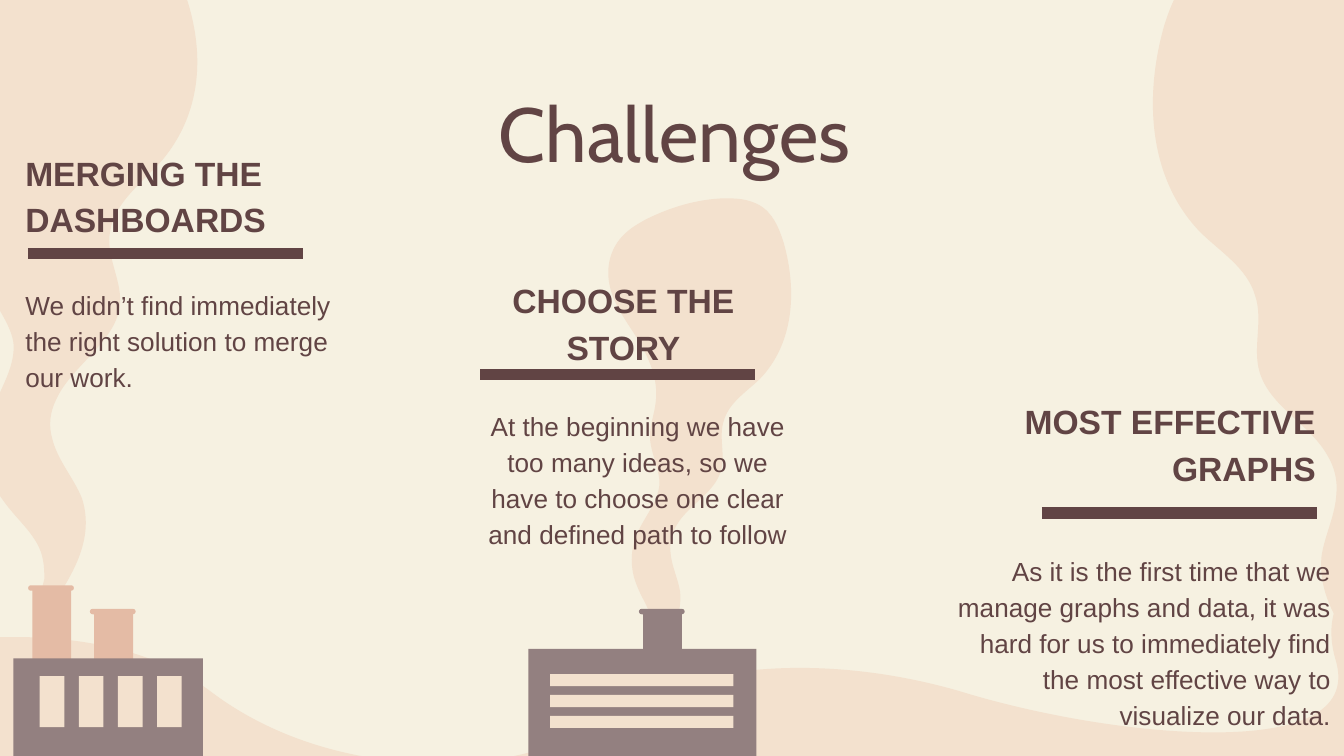
from dataclasses import dataclass

from lxml.etree import SubElement
from pptx import Presentation
from pptx.dml.color import RGBColor
from pptx.enum.shapes import MSO_CONNECTOR as Connector, MSO_SHAPE as Shape
from pptx.enum.text import PP_ALIGN as Align
from pptx.oxml.ns import qn
from pptx.util import Pt

CREAM, SMOKE, CLAY, STONE, BROWN = "F6F1E1", "F3E1CE", "E4BBA5", "938080", "614444"
OUTLINE_UNIT = Pt(0.72)
INSET = 7.2

# Each outline is a start point, then curves (six numbers) or lines (two numbers).
GROUND_SIZE = (1451, 247)
GROUND = [
    (1227, 0),
    (1139, 0, 1077, 32, 1096, 94), (1107, 133, 1065, 147, 1005, 147),
    (947, 147, 873, 134, 815, 116), (773, 104, 733, 99, 697, 99),
    (630, 99, 575, 117, 541, 142), (518, 159, 476, 170, 429, 170),
    (373, 170, 309, 155, 258, 116), (216, 85, 161, 76, 112, 76),
    (51, 76, 0, 90, 0, 90), (0, 247), (1451, 247), (1451, 51),
    (1451, 51, 1401, 20, 1285, 4), (1265, 2, 1245, 0, 1227, 0),
]
PLUME_SIZE = (269, 527)
PLUME = [
    (168, 0),
    (176, 0, 184, 1, 191, 3), (212, 9, 224, 26, 233, 41),
    (261, 91, 269, 151, 231, 197), (216, 214, 195, 229, 192, 250),
    (188, 269, 202, 288, 199, 307), (195, 333, 163, 351, 152, 375),
    (147, 385, 146, 395, 149, 405), (153, 421, 165, 434, 171, 449),
    (179, 474, 169, 497, 155, 519), (153, 522, 151, 524, 148, 526),
    (147, 527, 146, 527, 145, 527), (143, 527, 141, 525, 141, 523),
    (140, 518, 142, 514, 143, 509), (143, 505, 143, 500, 142, 495),
    (139, 477, 123, 466, 112, 450), (99, 433, 95, 411, 101, 392),
    (107, 372, 122, 353, 120, 333), (117, 315, 101, 300, 97, 282),
    (94, 269, 98, 255, 97, 242), (96, 216, 78, 193, 57, 173),
    (40, 157, 20, 141, 11, 122), (0, 101, 3, 77, 19, 60),
    (26, 52, 35, 46, 44, 40), (74, 22, 108, 8, 145, 2),
    (153, 1, 161, 0, 168, 0),
]


@dataclass
class Challenge:
    heading: str
    body: str
    align: Align
    heading_box: tuple
    heading_insets: tuple
    rule_start: tuple
    body_box: tuple


CHALLENGES = [
    Challenge("MERGING THE DASHBOARDS",
              "We didn’t find immediately the right solution to merge our work.",
              Align.LEFT, (6.5, 71.3, 201.6, 38.9), (INSET, 0),
              (15, 135.9), (6.5, 145.4, 186.5, 78.5)),
    Challenge("CHOOSE THE STORY",
              "At the beginning we have too many ideas, so we have to choose "
              "one clear and defined path to follow",
              Align.CENTER, (244.1, 139.7, 172.8, 38.9), (INSET, 0),
              (257.2, 200.5), (248.4, 210.2, 186.5, 78.5)),
    Challenge("MOST EFFECTIVE GRAPHS",
              "As it is the first time that we manage graphs and data, it was "
              "hard for us to immediately find the most effective way to "
              "visualize our data.",
              Align.RIGHT, (519.8, 204.5, 192.2, 38.9), (0, INSET),
              (558.2, 274.9), (502.6, 288, 217.4, 119.5)),
]


def color(value):
    return RGBColor.from_string(value)


def paint(shape, fill):
    shape.shadow.inherit = False
    shape.fill.solid()
    shape.fill.fore_color.rgb = color(fill)
    shape.line.fill.background()


def add_block(slide, box, fill, kind=Shape.RECTANGLE):
    shape = slide.shapes.add_shape(kind, *map(Pt, box))
    paint(shape, fill)
    return shape


def add_outline(slide, outline, size, box, rotation=0, mirrored=False):
    """Draw a curved outline, drawn on a grid of the given size, scaled into the box."""
    left, top, width, height = map(Pt, box)
    grid_width, grid_height = size
    builder = slide.shapes.build_freeform(0, 0, scale=OUTLINE_UNIT)
    builder.add_line_segments([(grid_width, 0), size, (0, grid_height)])
    shape = builder.convert_to_shape(left, top)
    shape.width, shape.height, shape.rotation = width, height, rotation
    if mirrored:
        shape.element.spPr.find(qn("a:xfrm")).set("flipH", "1")
    route = shape.element.spPr.find(".//" + qn("a:path"))
    for child in list(route):
        route.remove(child)
    for index, numbers in enumerate(outline):
        tag = "a:cubicBezTo" if len(numbers) == 6 else "a:lnTo" if index else "a:moveTo"
        step = SubElement(route, qn(tag))
        for x, y in zip(numbers[::2], numbers[1::2]):
            SubElement(step, qn("a:pt"), x=str(x), y=str(y))
    SubElement(route, qn("a:close"))
    paint(shape, SMOKE)


def add_chimney(slide, left, top, fill):
    add_block(slide, (left + 2.2, top + 1.8, 20.9, 52.2), fill)
    cap = add_block(slide, (left, top, 24.5, 2.9), fill, Shape.ROUNDED_RECTANGLE)
    cap.adjustments[0] = 0.5


def add_windowed_factory(slide, box):
    left, top, _, _ = box
    add_chimney(slide, left + 7.9, top - 39.2, CLAY)
    add_chimney(slide, left + 41, top - 26.6, CLAY)
    add_block(slide, box, STONE)
    for column in range(4):
        add_block(slide, (left + 14.1 + 20.95 * column, top + 9.4, 13.2, 27.4), SMOKE)


def add_slatted_factory(slide, box):
    left, top, _, _ = box
    add_outline(slide, PLUME, PLUME_SIZE, (left + 28, top - 244.6, 106.6, 249.8), 9.3)
    add_chimney(slide, left + 59.3, top - 21.4, STONE)
    add_block(slide, box, STONE)
    for row in range(3):
        add_block(slide, (left + 11.7, top + 13.5 + 11.2 * row, 98.2, 6.5), SMOKE)


def add_text(slide, text, box, align, font, insets=(INSET, INSET), spacing=None):
    frame = slide.shapes.add_textbox(*map(Pt, box)).text_frame
    left, right = insets
    frame_format = {
        "word_wrap": True,
        "margin_left": Pt(left), "margin_right": Pt(right),
        "margin_top": Pt(INSET), "margin_bottom": Pt(INSET),
    }
    for name, value in frame_format.items():
        setattr(frame, name, value)
    paragraph = frame.paragraphs[0]
    for name, value in {"alignment": align, **(spacing or {})}.items():
        setattr(paragraph, name, value)
    run = paragraph.add_run()
    run.text = text
    for name, value in font.items():
        setattr(run.font, name, value)
    run.font.color.rgb = color(BROWN)


def add_rule(slide, start):
    left, top = map(Pt, start)
    rule = slide.shapes.add_connector(Connector.STRAIGHT, left, top, left + Pt(147.3), top)
    rule.line.color.rgb = color(BROWN)
    rule.line.width = Pt(6)
    SubElement(rule.element.spPr, qn("a:effectLst"))


def add_challenge(slide, challenge):
    spacing = {"line_spacing": 1.15, "space_after": Pt(16)}
    add_text(slide, challenge.heading, challenge.heading_box, challenge.align,
             {"name": "Arial", "size": Pt(18), "bold": True},
             challenge.heading_insets, spacing)
    add_rule(slide, challenge.rule_start)
    add_text(slide, challenge.body, challenge.body_box, challenge.align,
             {"name": "Arial", "size": Pt(14)}, spacing=spacing)


def add_landscape(slide):
    add_outline(slide, GROUND, GROUND_SIZE, (-73.4, 286.6, 1044.7, 177.8))
    add_outline(slide, PLUME, PLUME_SIZE, (627.1, -27.4, 162, 379.4), 350.7, mirrored=True)
    add_outline(slide, PLUME, PLUME_SIZE, (-79.2, -56.2, 193.7, 379.4))
    add_windowed_factory(slide, (7.2, 352.8, 101.5, 69.1))
    add_slatted_factory(slide, (283, 347.6, 122.2, 60.9))


def main():
    presentation = Presentation()
    presentation.slide_width, presentation.slide_height = Pt(720), Pt(405)
    slide = presentation.slides.add_slide(presentation.slide_layouts[6])
    slide.background.fill.solid()
    slide.background.fill.fore_color.rgb = color(CREAM)
    add_landscape(slide)
    add_text(slide, "Challenges", (42.5, 38.9, 637.9, 45.4), Align.CENTER,
             {"name": "Cabin", "size": Pt(41)})
    for challenge in CHALLENGES:
        add_challenge(slide, challenge)
    presentation.save("out.pptx")


if __name__ == "__main__":
    main()
